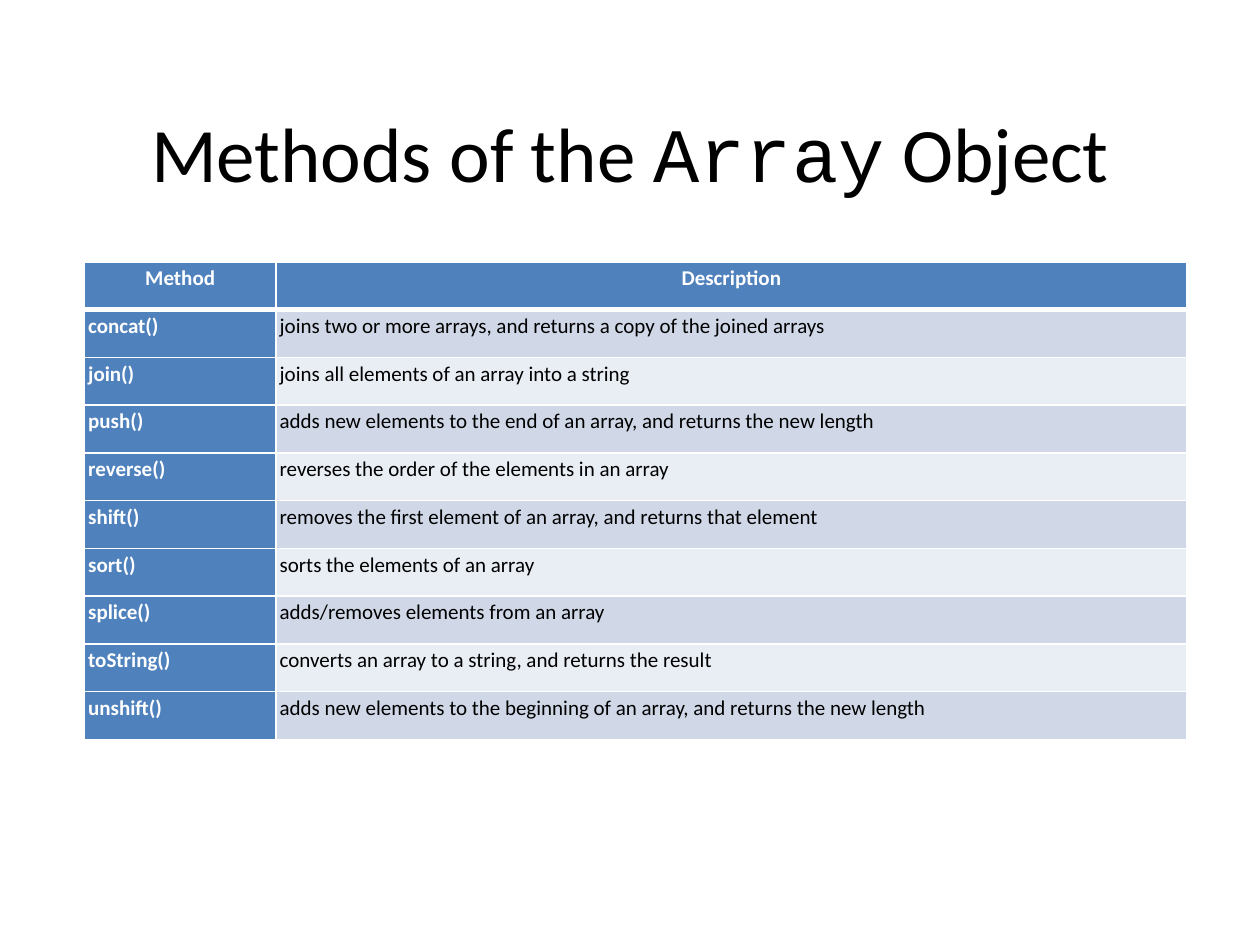
from lxml.etree import SubElement
from pptx import Presentation
from pptx.dml.color import RGBColor
from pptx.enum.text import MSO_ANCHOR, PP_ALIGN
from pptx.oxml.ns import qn
from pptx.util import Inches, Pt

BLACK = RGBColor(0x00, 0x00, 0x00)
WHITE = RGBColor(0xFF, 0xFF, 0xFF)
BLUE = RGBColor(0x4F, 0x81, 0xBD)
BANDS = (RGBColor(0xD0, 0xD8, 0xE8), RGBColor(0xE9, 0xED, 0xF4))

METHODS = [
    ("concat()", "joins two or more arrays, and returns a copy of the joined arrays"),
    ("join()", "joins all elements of an array into a string"),
    ("push()", "adds new elements to the end of an array, and returns the new length"),
    ("reverse()", "reverses the order of the elements in an array"),
    ("shift()", "removes the first element of an array, and returns that element"),
    ("sort()", "sorts the elements of an array"),
    ("splice()", "adds/removes elements from an array"),
    ("toString()", "converts an array to a string, and returns the result"),
    ("unshift()", "adds new elements to the beginning of an array, and returns the new length"),
]


class SlideBuilder:
    body_font = "Calibri"
    code_font = "Courier New"
    title_size = Pt(44)
    table_size = Pt(12)
    cell_margin = Inches(0.03)
    thin_line = Pt(1)
    thick_line = Pt(3)

    def __init__(self, deck):
        self.page = deck.slides.add_slide(deck.slide_layouts[5])

    def add_run(self, para, text, font, size, color, bold=False):
        span = para.add_run()
        span.text = text
        span.font.name = font
        span.font.size = size
        span.font.color.rgb = color
        span.font.bold = bold

    def add_title(self, parts, left, top, width, height):
        box = self.page.shapes.title
        box.left, box.top, box.width, box.height = map(Inches, (left, top, width, height))
        box.text_frame.vertical_anchor = MSO_ANCHOR.MIDDLE
        para = box.text_frame.paragraphs[0]
        para.alignment = PP_ALIGN.CENTER
        for text, font in parts:
            self.add_run(para, text, font, self.title_size, BLACK)

    def add_borders(self, cell, top, bottom):
        properties = cell._tc.get_or_add_tcPr()
        widths = {"L": self.thin_line, "R": self.thin_line, "T": top, "B": bottom}
        for side, width in widths.items():
            line = SubElement(properties, qn(f"a:ln{side}"), w=str(width))
            fill = SubElement(line, qn("a:solidFill"))
            SubElement(fill, qn("a:srgbClr"), val=str(WHITE))

    def fill_cell(self, cell, text, row, column):
        is_header = row == 0
        is_key = is_header or column == 0
        cell.margin_left = cell.margin_right = self.cell_margin
        cell.margin_top = cell.margin_bottom = self.cell_margin
        self.add_borders(
            cell,
            self.thick_line if row == 1 else self.thin_line,
            self.thick_line if is_header else self.thin_line,
        )
        cell.fill.solid()
        cell.fill.fore_color.rgb = BLUE if is_key else BANDS[(row - 1) % 2]
        para = cell.text_frame.paragraphs[0]
        para.alignment = PP_ALIGN.CENTER if is_header else PP_ALIGN.LEFT
        self.add_run(para, text, self.body_font, self.table_size,
                     WHITE if is_key else BLACK, is_key)

    def add_table(self, rows, left, top, column_widths, height):
        table = self.page.shapes.add_table(
            len(rows), len(column_widths), Inches(left), Inches(top),
            Inches(sum(column_widths)), Inches(height),
        ).table
        table.first_col = True
        for column, width in zip(table.columns, column_widths):
            column.width = Inches(width)
        for row, texts in enumerate(rows):
            for column, text in enumerate(texts):
                self.fill_cell(table.cell(row, column), text, row, column)


def main():
    deck = Presentation()
    deck.slide_width, deck.slide_height = Inches(10), Inches(7.5)
    builder = SlideBuilder(deck)
    builder.add_title(
        [("Methods of the ", builder.body_font),
         ("Array", builder.code_font),
         (" Object", builder.body_font)],
        0.5, 0.58, 9, 1.25,
    )
    builder.add_table([("Method", "Description")] + METHODS, 0.67, 2.08, (1.52, 7.23), 3.79)
    deck.save("out.pptx")


if __name__ == "__main__":
    main()
